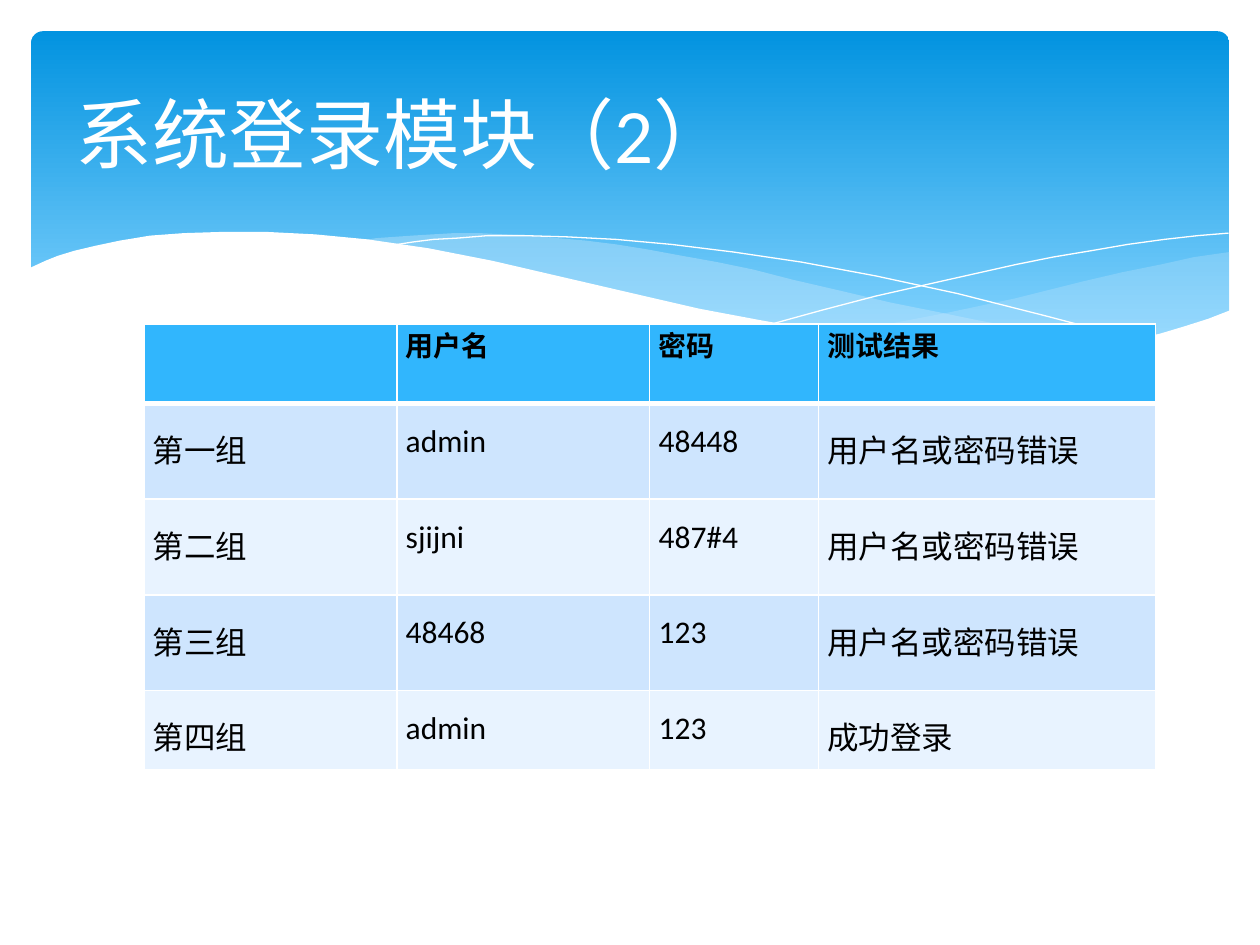
from lxml.etree import SubElement
from pptx import Presentation
from pptx.dml.color import RGBColor
from pptx.enum.shapes import MSO_SHAPE
from pptx.enum.text import MSO_ANCHOR, PP_ALIGN
from pptx.oxml import parse_xml
from pptx.oxml.ns import nsdecls, qn
from pptx.util import Cm, Pt

TITLE = "系统登录模块（2）"
HEADER = ["", "用户名", "密码", "测试结果"]
ROWS = [
    ["第一组", "admin", "48448", "用户名或密码错误"],
    ["第二组", "sjijni", "487#4", "用户名或密码错误"],
    ["第三组", "48468", "123", "用户名或密码错误"],
    ["第四组", "admin", "123", "成功登录"],
]
COLUMN_WIDTHS = [5.1, 5.1, 3.4, 6.8]
ROW_HEIGHTS = [1.6, 1.93, 1.93, 1.93, 1.6]

THEME = {
    "font": "Calibri",
    "white": "FFFFFF",
    "text": "000000",
    "banner_top": "0293E0",
    "banner_bottom": "83D3FE",
    "wave": "C6E7FC",
    "header": "31B6FD",
    "bands": ["CEE5FE", "E8F3FF"],
    "title_size": 44,
    "header_size": 16,
    "body_size": 18,
}

WAVE_UNIT = Cm(0.0254)
RIGHT_WAVE = [
    (976, 200), (948, 204), (921, 210), (891, 216), (861, 223), (805, 237), (753, 248),
    (706, 257), (661, 265), (691, 269), (719, 272), (745, 275), (769, 277), (803, 278),
    (835, 277), (863, 275), (889, 272), (913, 267), (935, 262), (949, 257), (963, 252),
    (976, 247),
]
MIDDLE_WAVE = [
    (893, 273), (866, 269), (837, 265), (807, 260), (775, 254), (741, 247), (706, 240),
    (668, 231), (629, 222), (598, 214), (569, 208), (541, 203), (514, 198), (489, 194),
    (465, 191), (442, 189), (420, 187), (399, 186), (380, 185), (361, 185), (328, 187),
    (299, 189), (286, 191), (323, 196), (362, 203), (404, 211), (449, 222), (491, 232),
    (530, 240), (566, 248), (601, 255), (634, 261), (665, 266), (695, 270), (722, 274),
    (748, 276), (773, 277), (796, 278), (828, 278), (857, 277), (876, 275),
]
FALLING_CURVE = [
    (309, 195), (328, 192), (344, 190), (363, 189), (387, 187), (416, 187), (450, 188),
    (489, 190), (533, 194), (582, 200), (636, 208), (695, 219), (760, 233), (831, 251),
    (869, 261), (907, 272),
]
RISING_CURVE = [
    (613, 257), (653, 246), (695, 235), (748, 223), (806, 210), (836, 204), (866, 199),
    (895, 194), (924, 190), (951, 187), (975, 185),
]
WHITE_WAVE = [
    (977, 246), (959, 253), (940, 259), (920, 265), (899, 269), (875, 273), (850, 275),
    (823, 277), (793, 276), (761, 275), (726, 272), (688, 268), (648, 262), (603, 254),
    (555, 245), (503, 233), (447, 220), (391, 207), (340, 197), (292, 190), (250, 186),
    (211, 184), (177, 184), (146, 185), (119, 187), (95, 191), (76, 195), (59, 199),
    (46, 203), (36, 207), (23, 213), (23, 329), (977, 329),
]
WAVES = [
    (RIGHT_WAVE, THEME["wave"], 29),
    (MIDDLE_WAVE, THEME["wave"], 40),
    (FALLING_CURVE, None, 100),
    (RISING_CURVE, None, 100),
    (WHITE_WAVE, THEME["white"], 100),
]


def color(value):
    return RGBColor.from_string(value)


def add_banner(slide):
    banner = slide.shapes.add_shape(
        MSO_SHAPE.ROUNDED_RECTANGLE, Cm(0.63), Cm(0.63), Cm(24.15), Cm(6.86))
    banner.adjustments[0] = 0.034
    banner.shadow.inherit = False
    banner.line.fill.background()
    banner.fill.gradient()
    banner.fill.gradient_angle = 270
    stops = [(0, THEME["banner_top"]), (0.9, THEME["banner_bottom"])]
    for stop, (position, value) in zip(banner.fill.gradient_stops, stops):
        stop.position = position
        stop.color.rgb = color(value)


def add_wave(slide, points, fill, opacity):
    builder = slide.shapes.build_freeform(*points[0], scale=WAVE_UNIT)
    builder.add_line_segments(points[1:], close=fill is not None)
    wave = builder.convert_to_shape()
    wave.shadow.inherit = False
    if fill is None:
        wave.fill.background()
        wave.line.color.rgb = color(THEME["white"])
        wave.line.width = Pt(0)
        return
    wave.line.fill.background()
    wave.fill.solid()
    wave.fill.fore_color.rgb = color(fill)
    if opacity < 100:
        solid = wave.fill._xPr.find(qn("a:solidFill"))
        SubElement(solid[0], qn("a:alpha"), val=str(opacity * 1000))


def add_run(paragraph, text, size, value, bold=False):
    run = paragraph.add_run()
    run.text = text
    run.font.name = THEME["font"]
    run.font.size = Pt(size)
    run.font.bold = bold
    run.font.color.rgb = color(value)


def add_title(slide):
    box = slide.shapes.add_textbox(Cm(1.27), Cm(0.94), Cm(22.86), Cm(3.48))
    box.text_frame.word_wrap = True
    box.text_frame.vertical_anchor = MSO_ANCHOR.MIDDLE
    add_run(box.text_frame.paragraphs[0], TITLE, THEME["title_size"], THEME["white"])


def set_borders(cell, row_index):
    widths = {"L": 1, "R": 1, "T": 3 if row_index == 1 else 1, "B": 3 if row_index == 0 else 1}
    properties = cell._tc.get_or_add_tcPr()
    for index, (side, width) in enumerate(widths.items()):
        properties.insert(index, parse_xml(
            f'<a:ln{side} {nsdecls("a")} w="{Pt(width)}"><a:solidFill>'
            f'<a:srgbClr val="{THEME["white"]}"/></a:solidFill></a:ln{side}>'))


def fill_cell(cell, text, row_index):
    is_header = row_index == 0
    cell.fill.solid()
    cell.fill.fore_color.rgb = color(
        THEME["header"] if is_header else THEME["bands"][(row_index - 1) % 2])
    set_borders(cell, row_index)
    cell.margin_left = cell.margin_right = Cm(0.18)
    cell.margin_top = cell.margin_bottom = 0
    if not text:
        return
    paragraph = cell.text_frame.paragraphs[0]
    paragraph.alignment = PP_ALIGN.JUSTIFY
    if not is_header:
        paragraph.line_spacing = 1.5
    size = THEME["header_size"] if is_header else THEME["body_size"]
    add_run(paragraph, text, size, THEME["text"], is_header)


def add_results_table(slide):
    content = [HEADER, *ROWS]
    table = slide.shapes.add_table(
        len(content), len(HEADER), Cm(2.9), Cm(6.53),
        Cm(sum(COLUMN_WIDTHS)), Cm(sum(ROW_HEIGHTS))).table
    for column, width in zip(table.columns, COLUMN_WIDTHS):
        column.width = Cm(width)
    for row_index, (row, height) in enumerate(zip(table.rows, ROW_HEIGHTS)):
        row.height = Cm(height)
        for cell, text in zip(row.cells, content[row_index]):
            fill_cell(cell, text, row_index)


def main():
    presentation = Presentation()
    presentation.slide_width = Cm(25.4)
    presentation.slide_height = Cm(19.05)
    slide = presentation.slides.add_slide(presentation.slide_layouts[6])
    add_banner(slide)
    for points, fill, opacity in WAVES:
        add_wave(slide, points, fill, opacity)
    add_title(slide)
    add_results_table(slide)
    presentation.save("out.pptx")


if __name__ == "__main__":
    main()
